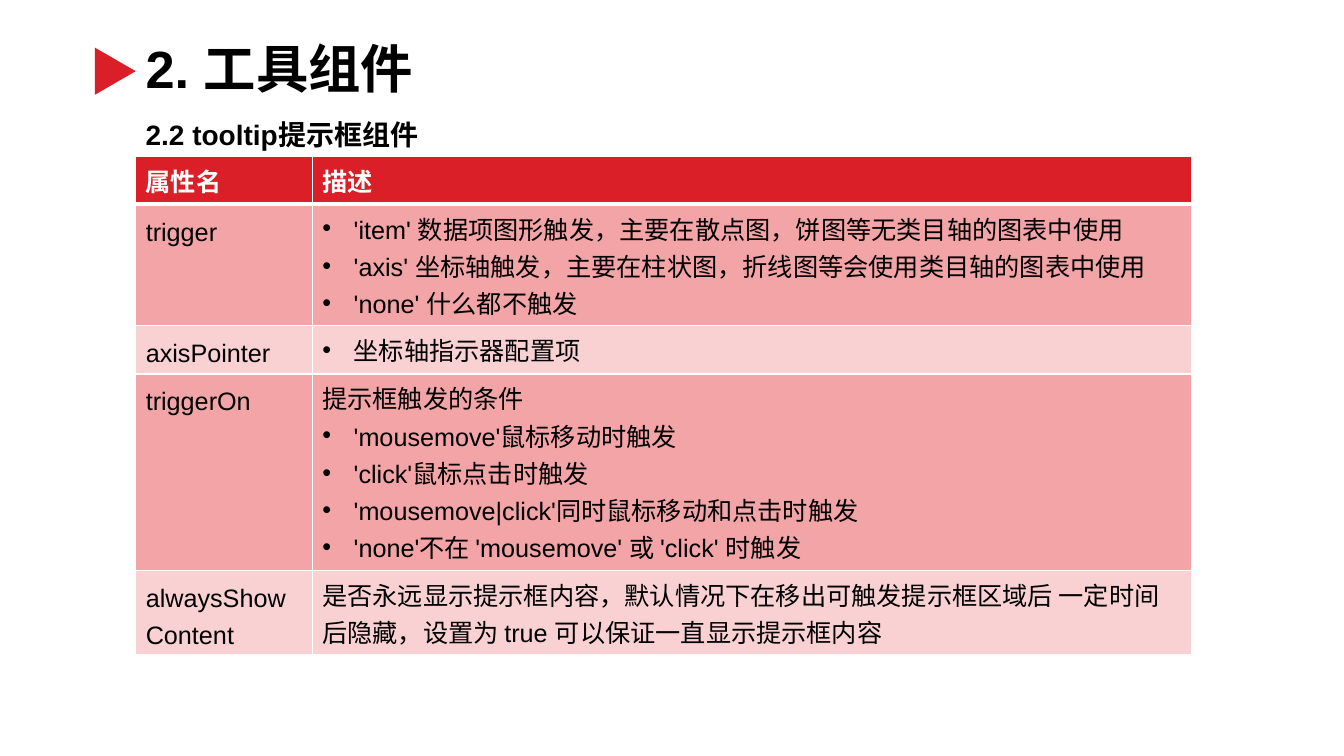
import pptx
import pptx.util
import pptx.dml.color
import pptx.enum.shapes
import pptx.enum.text
import pptx.oxml
import pptx.oxml.ns

Cm = pptx.util.Cm
Pt = pptx.util.Pt
HUES = {"red": "DA1F28", "rose": "F2A4A7", "pale": "F9D1D3", "ink": "000000", "white": "FFFFFF"}
FONT = "Arial"
MARK = "• "
ROWS = [
    (1.19, "属性名", ["描述"]),
    (3.05, "trigger", [
        "• 'item' 数据项图形触发，主要在散点图，饼图等无类目轴的图表中使用",
        "• 'axis' 坐标轴触发，主要在柱状图，折线图等会使用类目轴的图表中使用",
        "• 'none' 什么都不触发"]),
    (1.21, "axisPointer", ["• 坐标轴指示器配置项"]),
    (4.94, "triggerOn", [
        "提示框触发的条件",
        "• 'mousemove'鼠标移动时触发",
        "• 'click'鼠标点击时触发",
        "• 'mousemove|click'同时鼠标移动和点击时触发",
        "• 'none'不在 'mousemove' 或 'click' 时触发"]),
    (2.12, "alwaysShowContent", [
        "是否永远显示提示框内容，默认情况下在移出可触发提示框区域后 一定时间 "
        "后隐藏，设置为 true 可以保证一直显示提示框内容"]),
]


def tint(name):
    """Return the named colour."""
    return pptx.dml.color.RGBColor.from_string(HUES[name])


def write(para, text, size, hue="ink", bold=False):
    """Add one styled run to a paragraph."""
    run = para.add_run()
    run.text = text
    run.font.name = FONT
    run.font.size = Pt(size)
    run.font.bold = bold
    run.font.color.rgb = tint(hue)


def label(slide, box, text, size):
    """Place one bold line of text in a box."""
    frame = slide.shapes.add_textbox(*map(Cm, box)).text_frame
    frame.word_wrap = True
    frame.auto_size = pptx.enum.text.MSO_AUTO_SIZE.SHAPE_TO_FIT_TEXT
    write(frame.paragraphs[0], text, size, bold=True)


def head(slide, box):
    """Draw the title and the red pointer at its left."""
    left, top, wide, high = box
    label(slide, box, "2. 工具组件", 37.4)
    kind = pptx.enum.shapes.MSO_SHAPE.ISOSCELES_TRIANGLE
    mark = slide.shapes.add_shape(kind, Cm(left - 1.11), Cm(top + 0.49), Cm(1.19), Cm(1.03))
    mark.rotation = 90
    mark.shadow.inherit = False
    mark.fill.solid()
    mark.fill.fore_color.rgb = tint("red")
    mark.line.fill.background()


def bullet(para):
    """Give a paragraph a hanging bullet."""
    props = para._p.get_or_add_pPr()
    props.set("marL", str(Cm(0.79)))
    props.set("indent", str(-Cm(0.79)))
    for tag, key, val in (("buFont", "typeface", FONT), ("buChar", "char", MARK.strip())):
        node = props.makeelement(pptx.oxml.ns.qn("a:" + tag), {key: val})
        props.append(node)


def edge(cell, base):
    """Draw white borders, with the given bottom width in points."""
    props = cell._tc.get_or_add_tcPr()
    for spot, (side, size) in enumerate(zip("LRTB", (1, 1, 1, base))):
        props.insert(spot, pptx.oxml.parse_xml(
            f'<a:ln{side} {pptx.oxml.ns.nsdecls("a")} w="{Pt(size)}"><a:solidFill>'
            f'<a:srgbClr val="{HUES["white"]}"/></a:solidFill></a:ln{side}>'))


def fill(cell, lines, row):
    """Write and colour one cell according to its row."""
    top = row == 0
    cell.fill.solid()
    cell.fill.fore_color.rgb = tint("red" if top else "rose" if row % 2 else "pale")
    edge(cell, 3 if row == 0 else 1)
    for num, line in enumerate(lines):
        frame = cell.text_frame
        para = frame.add_paragraph() if num else frame.paragraphs[0]
        para.line_spacing = Pt(26.6)
        if line.startswith(MARK):
            bullet(para)
        write(para, line.removeprefix(MARK), 18, "white" if top else "ink", top)


def grid(slide, box):
    """Draw the table of attributes in a box."""
    wide = box[2]
    table = slide.shapes.add_table(len(ROWS), 2, *map(Cm, box)).table
    table.columns[0].width = Cm(4.45)
    table.columns[1].width = Cm(wide - 4.45)
    for row, (high, name, lines) in enumerate(ROWS):
        table.rows[row].height = Cm(high)
        fill(table.cell(row, 0), [name], row)
        fill(table.cell(row, 1), lines, row)


def main():
    """Build and save the slide."""
    deck = pptx.Presentation()
    deck.slide_width, deck.slide_height = Cm(33.87), Cm(19.05)
    slide = deck.slides.add_slide(deck.slide_layouts[6])
    left = 3.42
    head(slide, (left, 0.79, 11.73, 1.85))
    grid(slide, (left, 3.95, 26.62, 12.51))
    label(slide, (left, 2.84, 16.94, 1.12), "2.2 tooltip提示框组件", 20)
    deck.save("out.pptx")


if __name__ == "__main__":
    main()
